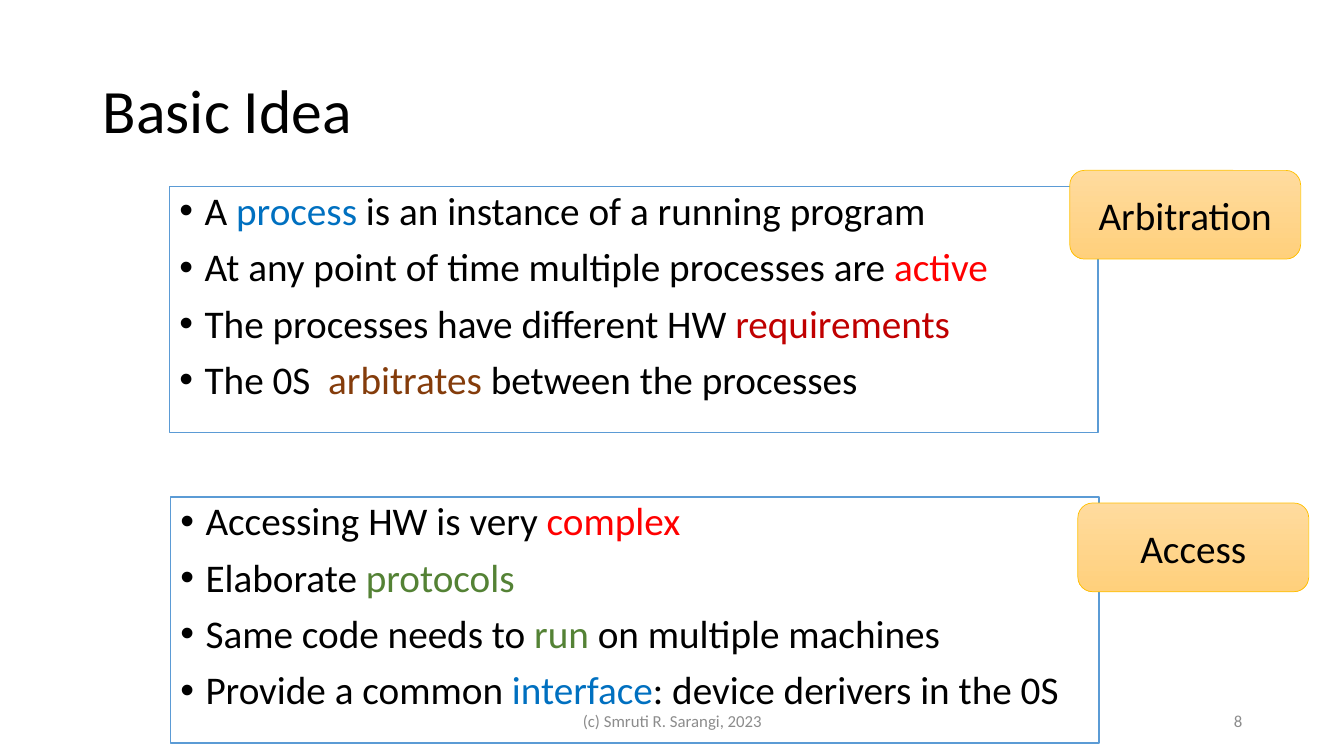
from lxml import etree
from pptx import Presentation, util as u
from pptx.dml import color
from pptx.enum import shapes, text
from pptx.oxml import ns

LEFT, MID, RIGHT = text.PP_ALIGN.LEFT, text.PP_ALIGN.CENTER, text.PP_ALIGN.RIGHT
BLUE, RED, GREEN = "0070C0", "FF0000", "548235"


def tint(code):
    return color.RGBColor.from_string(code)


def mark(para):
    props = para._p.get_or_add_pPr()
    props.set("marL", str(u.Inches(0.25)))
    props.set("indent", str(-u.Inches(0.25)))
    etree.SubElement(props, ns.qn("a:buFont")).set("typeface", "Arial")
    etree.SubElement(props, ns.qn("a:buChar")).set("char", "•")


def write(frame, lines, size=28, ink="000000", align=LEFT, middle=True,
          lead=1.0, gap=0, bullet=False, face="Calibri"):
    frame.word_wrap = True
    frame.auto_size = text.MSO_AUTO_SIZE.NONE
    frame.vertical_anchor = text.MSO_ANCHOR.MIDDLE if middle else text.MSO_ANCHOR.TOP
    for i, line in enumerate(lines):
        para = frame.add_paragraph() if i else frame.paragraphs[0]
        para.alignment = align
        para.line_spacing = lead
        para.space_before = u.Pt(gap if i else 0)
        if bullet:
            mark(para)
        for part in [line] if isinstance(line, str) else line:
            words, hue = (part, ink) if isinstance(part, str) else part
            run = para.add_run()
            run.text = words
            run.font.name = face
            run.font.size = u.Pt(size)
            run.font.color.rgb = tint(hue)


class Deck:
    edge, paper = "5B9BD5", "FFFFFF"
    gold, top, base = "FFC000", "FFDB9E", "FFD07C"
    grey = "8C8C8C"

    def __init__(self):
        self.show = Presentation()
        self.show.slide_width = u.Inches(13.33)
        self.show.slide_height = u.Inches(7.5)
        self.slide = self.show.slides.add_slide(self.show.slide_layouts[1])

    def place(self, item, x, y, w, h):
        item.left, item.top = u.Inches(x), u.Inches(y)
        item.width, item.height = u.Inches(w), u.Inches(h)

    def title(self, words, *box):
        item = self.slide.shapes.title
        self.place(item, *box)
        write(item.text_frame, [words], size=44, lead=0.9)

    def label(self, words, align, *box):
        item = self.slide.shapes.add_textbox(*map(u.Inches, box))
        write(item.text_frame, [words], size=12, ink=self.grey, align=align)

    def panel(self, item, lines, *box):
        self.place(item, *box)
        item.fill.solid()
        item.fill.fore_color.rgb = tint(self.paper)
        item.line.color.rgb = tint(self.edge)
        item.line.width = u.Pt(1)
        write(item.text_frame, lines, middle=False, lead=0.9, gap=10, bullet=True)

    def body(self, lines, *box):
        self.panel(self.slide.placeholders[1], lines, *box)

    def list(self, lines, *box):
        self.panel(self.slide.shapes.add_textbox(0, 0, 0, 0), lines, *box)

    def badge(self, words, *box):
        item = self.slide.shapes.add_shape(
            shapes.MSO_SHAPE.ROUNDED_RECTANGLE, *map(u.Inches, box))
        item.shadow.inherit = False
        item.fill.gradient()
        item.fill.gradient_angle = 270
        for stop, hue in zip(item.fill.gradient_stops, (self.top, self.base)):
            stop.color.rgb = tint(hue)
        item.line.color.rgb = tint(self.gold)
        item.line.width = u.Pt(0.5)
        write(item.text_frame, [words], align=MID)


def main():
    deck = Deck()
    deck.title("Basic Idea", 0.92, 0.4, 11.5, 1.45)
    deck.body([
        ["A ", ("process", BLUE), " is an instance of a running program"],
        ["At any point of time multiple processes are ", ("active", RED)],
        ["The processes have different HW ", ("requirements", "C00000")],
        ["The 0S  ", ("arbitrates", "843C0B"), " between the processes"],
    ], 1.68, 1.85, 9.21, 2.44)
    deck.list([
        ["Accessing HW is very ", ("complex", RED)],
        ["Elaborate ", ("protocols", GREEN)],
        ["Same code needs to ", ("run", GREEN), " on multiple machines"],
        ["Provide a common ", ("interface", BLUE), ": device derivers in the 0S"],
    ], 1.69, 4.93, 9.21, 2.44)
    deck.badge("Arbitration", 10.61, 1.69, 2.29, 0.88)
    deck.badge("Access", 10.69, 4.99, 2.29, 0.88)
    deck.label("8", RIGHT, 9.42, 6.95, 3, 0.4)
    deck.label("(c) Smruti R. Sarangi, 2023", MID, 4.42, 6.95, 4.5, 0.4)
    deck.show.save("out.pptx")


if __name__ == "__main__":
    main()
